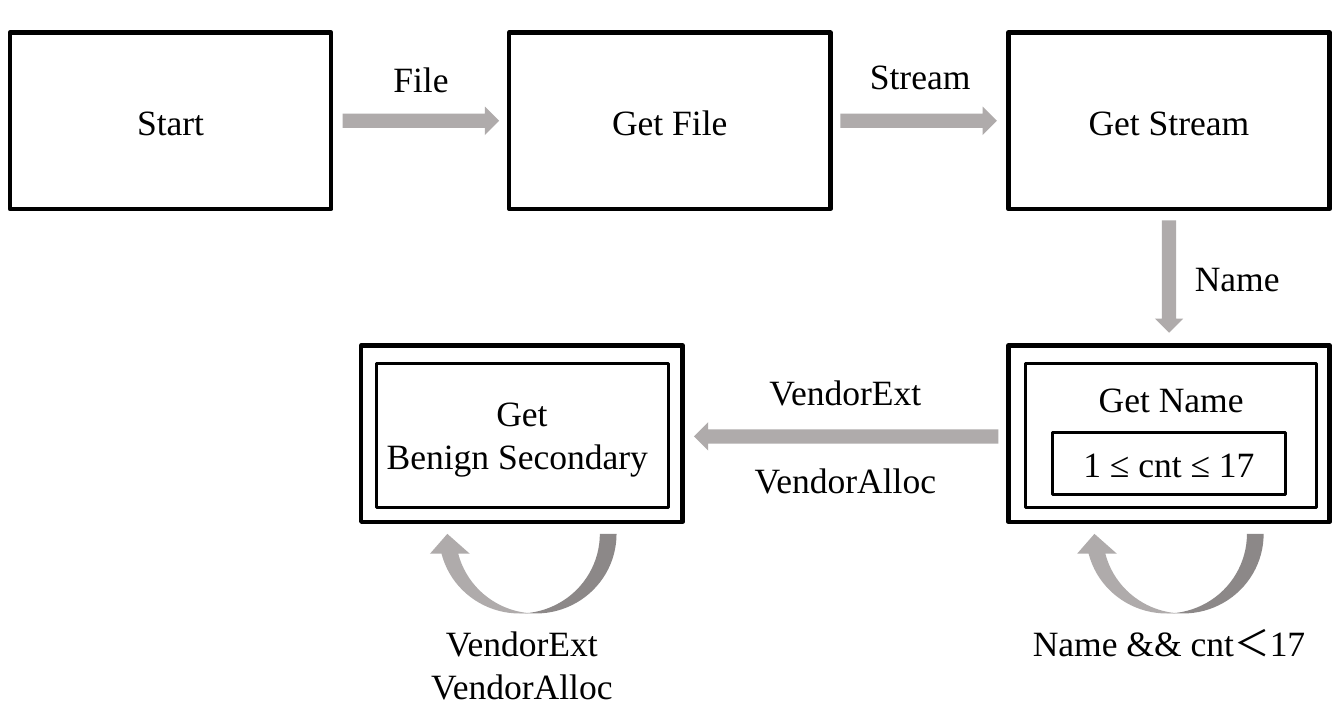
import pptx
import pptx.util
import pptx.dml.color
import pptx.enum.shapes
import pptx.enum.text

Inches = pptx.util.Inches
SHAPE = pptx.enum.shapes.MSO_SHAPE
ANCHOR = pptx.enum.text.MSO_ANCHOR
COLORS = {"ink": "000000", "arrow": "AFABAB"}
FONT = {"name": "Times New Roman", "size": pptx.util.Pt(18)}
BOX_W, BOX_H = 2.26, 1.24
COLS = [0.07, 3.58, 7.09]
TOP, BOTTOM, SECONDARY_X = 0.23, 2.43, 2.54


def rgb(name):
    return pptx.dml.color.RGBColor.from_string(COLORS[name])


def write(sp, lines, anchor):
    tf = sp.text_frame
    tf.word_wrap = True
    tf.vertical_anchor = anchor
    for i, line in enumerate(lines):
        p = tf.paragraphs[0] if i == 0 else tf.add_paragraph()
        p.alignment = pptx.enum.text.PP_ALIGN.CENTER
        r = p.add_run()
        r.text = line
        for key, value in FONT.items():
            setattr(r.font, key, value)
        r.font.color.rgb = rgb("ink")


prs = pptx.Presentation()
prs.slide_width, prs.slide_height = Inches(9.45), Inches(5.12)
s = prs.slides.add_slide(prs.slide_layouts[6])

boxes = [
    (COLS[0], TOP, BOX_W, BOX_H, 2.25, ["Start"]),
    (COLS[1], TOP, BOX_W, BOX_H, 2.25, ["Get File"]),
    (COLS[2], TOP, BOX_W, BOX_H, 2.25, ["Get Stream"]),
    (SECONDARY_X, BOTTOM, BOX_W, BOX_H, 2.25, ["Get", "Benign Secondary "]),
    (COLS[2], BOTTOM, BOX_W, BOX_H, 2.25, []),
    (2.65, 2.56, 2.05, 1.01, 1.5, []),
    (7.21, 2.56, 2.05, 1.01, 1.5, []),
    (7.4, 3.04, 1.64, 0.44, 1.5, ["1 ≤ cnt ≤ 17"]),
]
for x, y, w, h, weight, lines in boxes:
    sp = s.shapes.add_shape(SHAPE.RECTANGLE, *map(Inches, (x, y, w, h)))
    sp.shadow.inherit = False
    sp.fill.background()
    sp.line.color.rgb = rgb("ink")
    sp.line.width = pptx.util.Pt(weight)
    write(sp, lines, ANCHOR.MIDDLE)

arrows = [
    (SHAPE.RIGHT_ARROW, 2.41, 0.75, 1.1, 0.2, 0),
    (SHAPE.RIGHT_ARROW, 5.91, 0.75, 1.1, 0.2, 0),
    (SHAPE.DOWN_ARROW, 8.12, 1.55, 0.2, 0.79, 0),
    (SHAPE.LEFT_ARROW, 4.88, 2.97, 2.14, 0.2, 0),
    (SHAPE.CURVED_LEFT_ARROW, 3.39, 3.37, 0.56, 1.33, 90),
    (SHAPE.CURVED_LEFT_ARROW, 7.94, 3.37, 0.56, 1.33, 90),
]
for kind, x, y, w, h, rotation in arrows:
    sp = s.shapes.add_shape(kind, *map(Inches, (x, y, w, h)))
    sp.shadow.inherit = False
    sp.rotation = rotation
    sp.fill.solid()
    sp.fill.fore_color.rgb = rgb("arrow")
    sp.line.fill.background()
    if kind == SHAPE.CURVED_LEFT_ARROW:
        sp.adjustments[0] = 0.21

labels = [
    (2.49, 0.35, 0.94, 0.4, ["File"]),
    (5.92, 0.33, 1.1, 0.4, ["Stream"]),
    (8.23, 1.75, 0.94, 0.4, ["Name"]),
    (7.43, 2.6, 1.61, 0.4, ["Get Name"]),
    (5.11, 2.55, 1.67, 0.4, ["VendorExt"]),
    (5.11, 3.17, 1.67, 0.4, ["VendorAlloc"]),
    (COLS[2], 4.32, BOX_W, 0.4, ["Name && cnt＜17"]),
    (SECONDARY_X, 4.32, BOX_W, 0.71, ["VendorExt", "VendorAlloc"]),
]
for x, y, w, h, lines in labels:
    sp = s.shapes.add_textbox(*map(Inches, (x, y, w, h)))
    write(sp, lines, ANCHOR.TOP)

prs.save("out.pptx")
